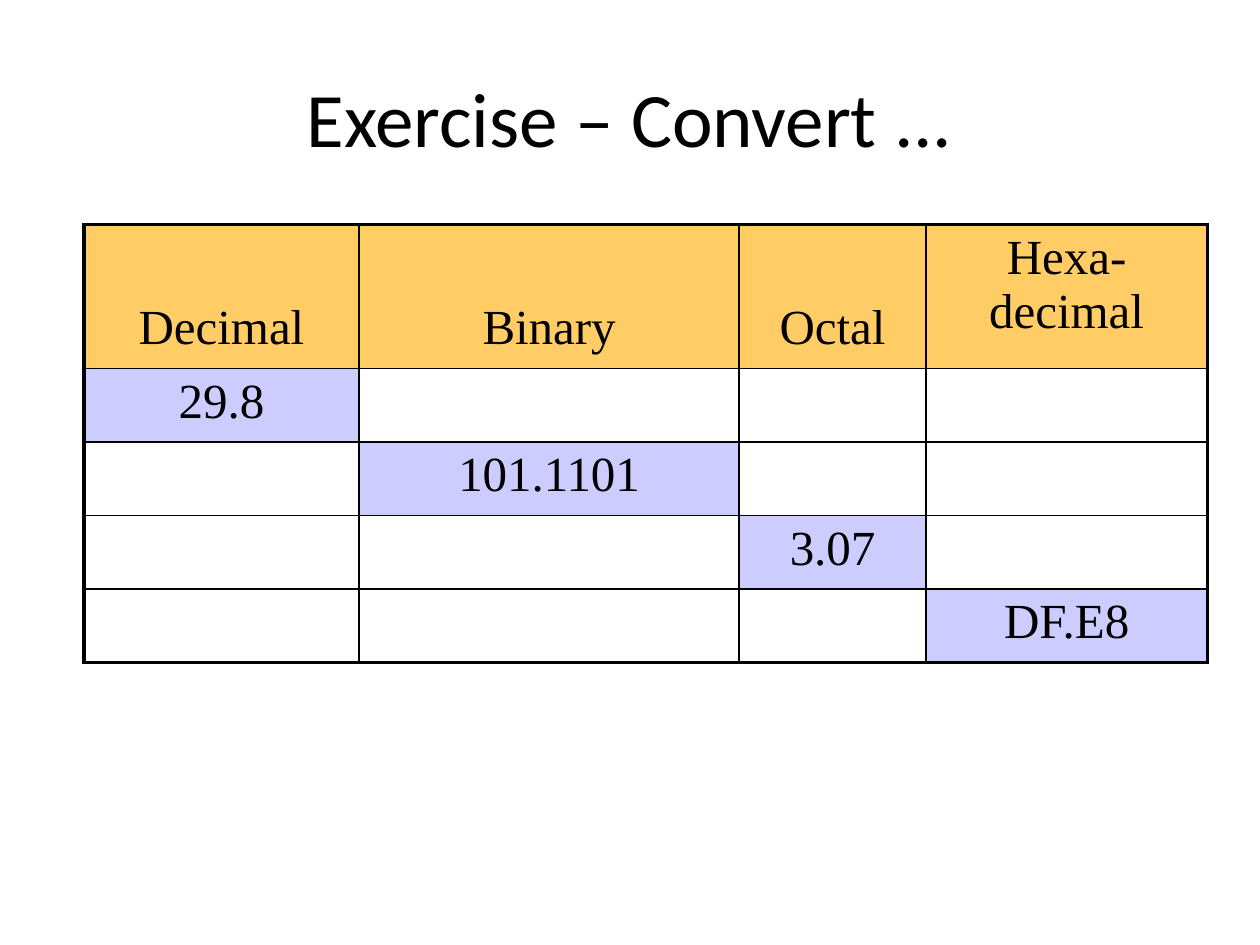
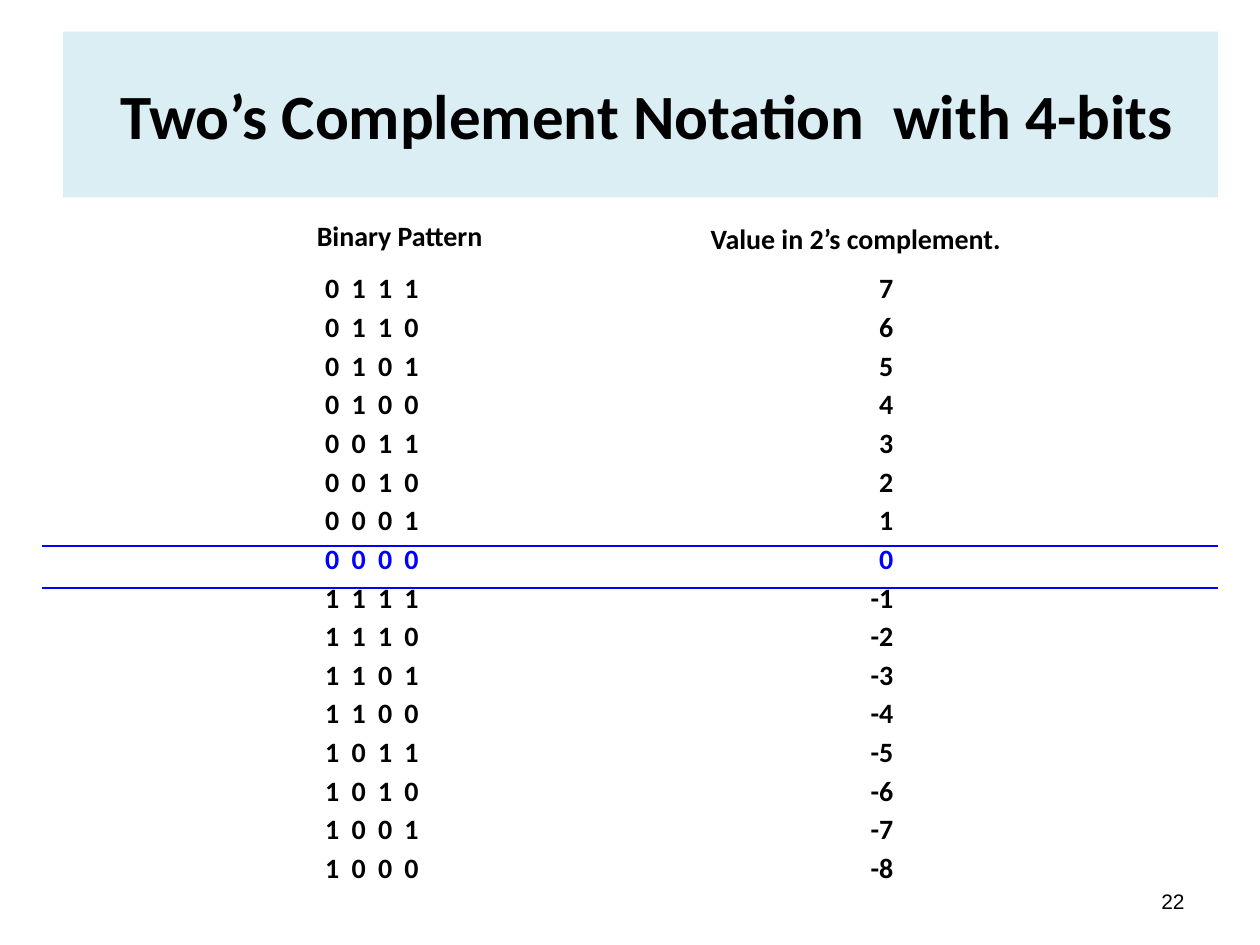
from lxml import etree
from pptx import Presentation
from pptx.dml.color import RGBColor
from pptx.enum.shapes import MSO_CONNECTOR
from pptx.enum.text import MSO_ANCHOR as Anchor, PP_ALIGN as Align
from pptx.oxml import parse_xml
from pptx.oxml.ns import nsdecls, qn
from pptx.util import Emu, Inches, Pt

COLS, ROWS = 120, 90
UNIT = Inches(10) / COLS
BLACK, BLUE = "000000", "0000FF"
HEADER_FILL, GIVEN_FILL, BAND_FILL = "FFCC66", "CCCCFF", "DBEEF4"
BODY_FONT, TABLE_FONT, NUMBER_FONT = "Calibri", "Times New Roman", "Arial"


def rgb(value):
    return RGBColor.from_string(value)


def grid(*units):
    """Turn grid columns or rows into lengths."""
    return [Emu(round(u * UNIT)) for u in units]


def style(p, size, name=BODY_FONT, color=BLACK, bold=False, align=Align.LEFT):
    p.alignment = align
    p.font.size, p.font.name, p.font.bold = Pt(size), name, bold
    p.font.color.rgb = rgb(color)


def add_titled_slide(prs, text, box, size, bold=False, fill=None):
    s = prs.slides.add_slide(prs.slide_layouts[5])
    title = s.shapes.title
    title.left, title.top, title.width, title.height = grid(*box)
    if fill:
        title.fill.solid()
        title.fill.fore_color.rgb = rgb(fill)
    tf = title.text_frame
    tf.text, tf.vertical_anchor = text, Anchor.MIDDLE
    style(tf.paragraphs[0], size, bold=bold, align=Align.CENTER)
    return s


def add_text(s, text, box, size, **look):
    tf = s.shapes.add_textbox(*grid(*box)).text_frame
    tf.word_wrap = True
    tf.text = text
    style(tf.paragraphs[0], size, **look)
    return tf


def set_borders(cell, widths):
    """Draw the left, right, top and bottom borders, widths in points."""
    tc_pr = cell._tc.get_or_add_tcPr()
    for i, (side, width) in enumerate(zip("LRTB", widths)):
        tc_pr.insert(i, parse_xml(
            f'<a:ln{side} {nsdecls("a")} w="{Pt(width)}"><a:solidFill>'
            f'<a:srgbClr val="{BLACK}"/></a:solidFill></a:ln{side}>'))


def add_conversion_table(s, left, top, col_widths, row_heights):
    headers = ["Decimal", "Binary", "Octal", "Hexa-\vdecimal"]
    given = ["29.8", "101.1101", "3.07", "DF.E8"]
    n_rows, n_cols = len(row_heights), len(col_widths)
    box = grid(left, top, sum(col_widths), sum(row_heights))
    table = s.shapes.add_table(n_rows, n_cols, *box).table
    table.first_row = table.horz_banding = False
    for column, width in zip(table.columns, grid(*col_widths)):
        column.width = width
    for row, height in zip(table.rows, grid(*row_heights)):
        row.height = height

    for r in range(n_rows):
        for c in range(n_cols):
            cell = table.cell(r, c)
            text = headers[c] if r == 0 else given[c] if r == c + 1 else ""
            if text:
                cell.fill.solid()
                cell.fill.fore_color.rgb = rgb(GIVEN_FILL if r else HEADER_FILL)
                cell.text = text
            else:
                cell.fill.background()
            if r == 0 and "\v" not in text:
                cell.vertical_anchor = Anchor.BOTTOM
                cell.margin_bottom = Inches(0.11)
            for p in cell.text_frame.paragraphs:
                style(p, 28, TABLE_FONT, align=Align.CENTER)
            outer = (c == 0, c == n_cols - 1, r == 0, r == n_rows - 1)
            set_borders(cell, [2.25 if edge else 1 for edge in outer])


def set_tabs(p, stops):
    tabs = etree.SubElement(p._p.get_or_add_pPr(), qn("a:tabLst"))
    for position, align in stops:
        etree.SubElement(tabs, qn("a:tab"), pos=str(Inches(position)), algn=align)


def add_complement_list(s, box):
    tf = s.shapes.add_textbox(*grid(*box)).text_frame
    tf.word_wrap = True
    tf.margin_left, tf.margin_top = Inches(2.08), Inches(0.4)
    stops = [(0.21 * i, "l") for i in (1, 2, 3)] + [(4.51, "r")]
    values = range(7, -9, -1)
    tf.text = "\n".join("\t".join([*f"{v % 16:04b}", str(v)]) for v in values)
    for p, value in zip(tf.paragraphs, values):
        set_tabs(p, stops)
        style(p, 16, color=BLACK if value else BLUE, bold=True)
        p.space_after = Pt(2.9)


def add_rule(s, left, right, row):
    line = s.shapes.add_connector(MSO_CONNECTOR.STRAIGHT, *grid(left, row, right, row))
    line.line.color.rgb, line.line.width = rgb(BLUE), Pt(0.75)
    etree.SubElement(line._element.spPr, qn("a:effectLst"))


def build_exercise(prs):
    s = add_titled_slide(prs, "Exercise – Convert ...", (6, 3.6, 108, 15), 44)
    add_conversion_table(s, 8, 21.4, [26.2, 36.2, 17.8, 26.8], [13.7] + [7] * 4)


def build_complement(prs):
    s = add_titled_slide(prs, "Two’s Complement Notation  with 4-bits",
                         (6, 3, 110, 15.8), 36, bold=True, fill=BAND_FILL)
    s.shapes.title.text_frame.margin_left = Inches(0.2)
    add_complement_list(s, (6, 21, 104, 68))
    for row in (52, 56):
        add_rule(s, 4, 116, row)
    add_text(s, "Value in 2’s complement.", (66.5, 20.5, 33, 4.4), 16, bold=True)
    add_text(s, "Binary Pattern", (29, 20.2, 29, 4.4), 16, bold=True)
    number = add_text(s, "22", (86, 83.4, 28, 4.8), 12, name=NUMBER_FONT,
                      align=Align.RIGHT)
    number.vertical_anchor = Anchor.MIDDLE


def main():
    prs = Presentation()
    prs.slide_width, prs.slide_height = grid(COLS, ROWS)
    build_exercise(prs)
    build_complement(prs)
    prs.save("out.pptx")


if __name__ == "__main__":
    main()
